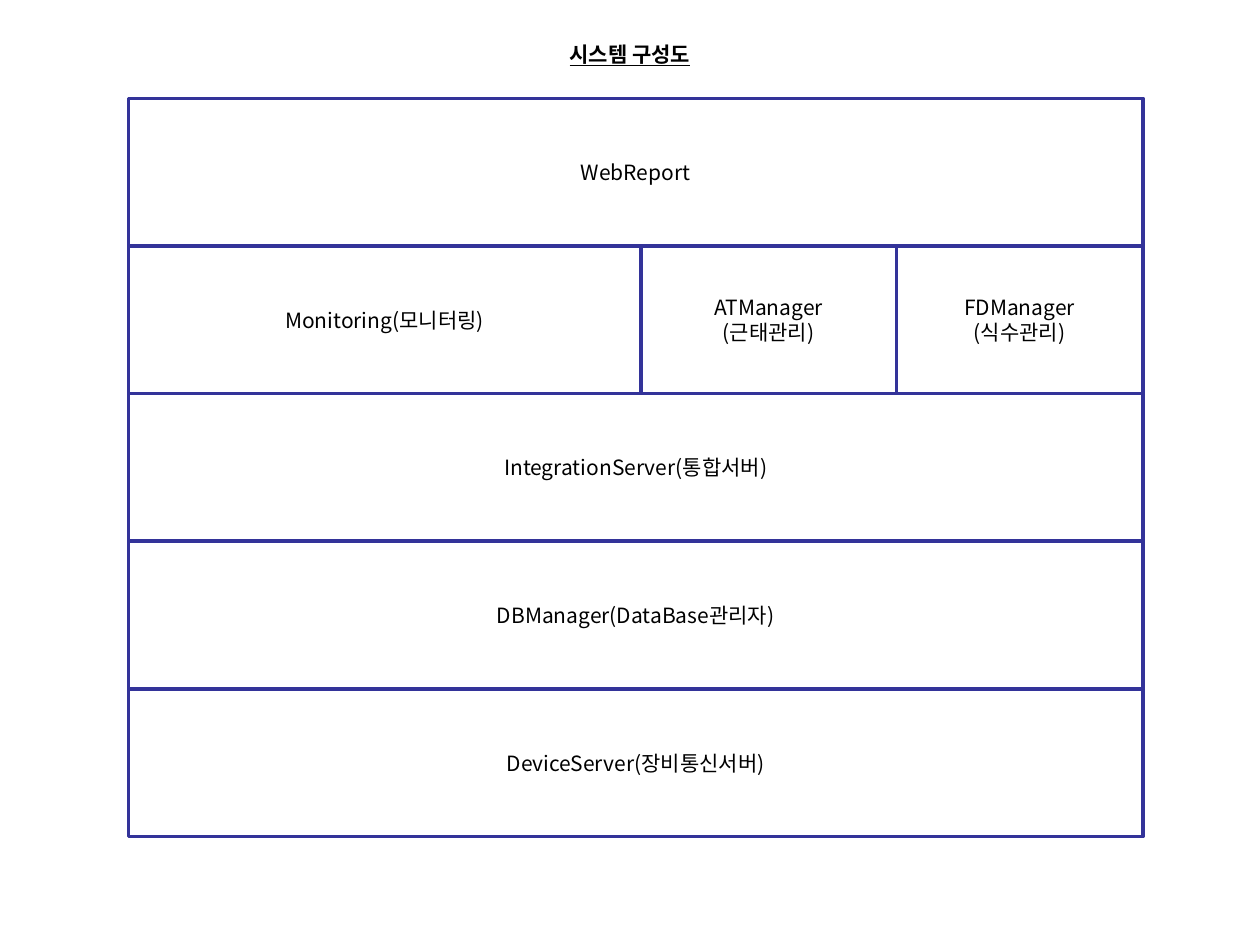
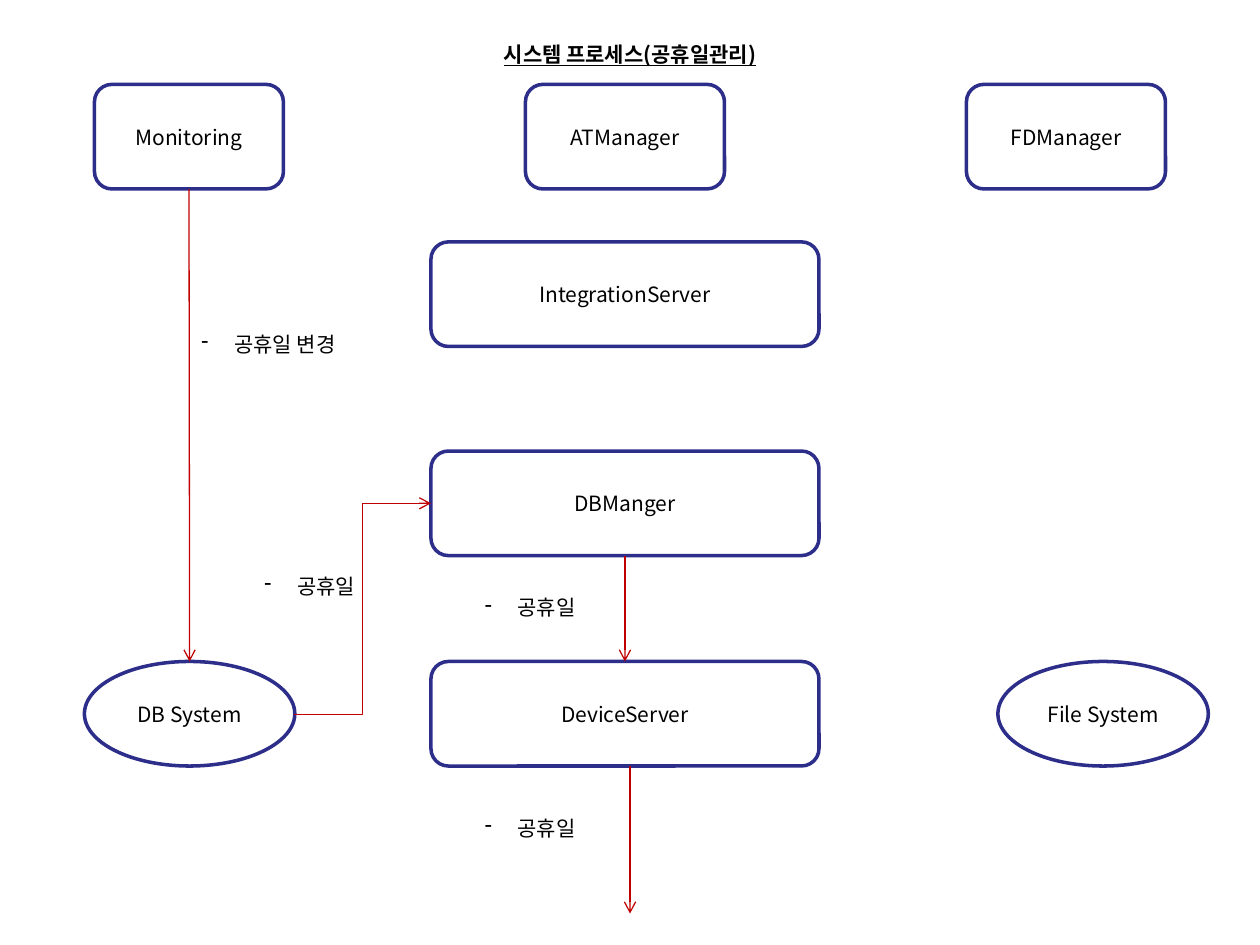
from dataclasses import dataclass

import pptx
import pptx.dml.color
import pptx.enum.shapes
import pptx.enum.text
import pptx.oxml
import pptx.oxml.ns
import pptx.util
from pptx.util import Inches

SHAPE = pptx.enum.shapes.MSO_SHAPE
CONNECTOR = pptx.enum.shapes.MSO_CONNECTOR
ALIGN = pptx.enum.text.PP_ALIGN
ANCHOR = pptx.enum.text.MSO_ANCHOR
TOP, LEFT, BOTTOM = 0, 1, 2


@dataclass(frozen=True)
class Theme:
    font: str = "Noto Sans CJK KR"
    text_size: float = 12
    text: str = "000000"
    fill: str = "FFFFFF"
    stack_line: str = "333399"
    node_line: str = "2D2D8A"
    flow_line: str = "C00000"
    box_width: float = 2
    flow_width: float = 0.75
    dash_indent: float = 0.26


THEME = Theme()


def rgb(value):
    return pptx.dml.color.RGBColor.from_string(value)


def add_child(parent, tag, **attributes):
    child = pptx.oxml.parse_xml(f"<a:{tag} {pptx.oxml.ns.nsdecls('a')}/>")
    for name, value in attributes.items():
        child.set(name, value)
    parent.append(child)
    return child


def add_run(p, text, heading=False):
    r = p.add_run()
    r.text = text
    r.font.size = pptx.util.Pt(THEME.text_size)
    r.font.name = THEME.font
    r.font.color.rgb = rgb(THEME.text)
    if heading:
        r.font.bold = r.font.underline = True
    add_child(r.font._element, "ea", typeface=THEME.font)


def add_textbox(slide, left, top, width, height=0.3):
    """Add an empty wrapping text box and return its first paragraph."""
    sp = slide.shapes.add_textbox(Inches(left), Inches(top), Inches(width), Inches(height))
    sp.text_frame.word_wrap = True
    return sp.text_frame.paragraphs[0]


def add_title(slide, text):
    p = add_textbox(slide, 0, 0.28, 10)
    p.alignment = ALIGN.CENTER
    add_run(p, text, heading=True)


def add_dash_label(slide, text, left, top, width=1.17):
    p = add_textbox(slide, left, top, width)
    indent = Inches(THEME.dash_indent)
    pPr = p._p.get_or_add_pPr()
    pPr.set("marL", str(indent))
    pPr.set("indent", str(-indent))
    add_child(pPr, "buChar", char="-")
    add_run(p, text)


def add_box(slide, kind, lines, left, top, width, height, line):
    """Add an outlined shape with one centred paragraph per line of text."""
    sp = slide.shapes.add_shape(kind, Inches(left), Inches(top), Inches(width), Inches(height))
    sp.shadow.inherit = False
    sp.fill.solid()
    sp.fill.fore_color.rgb = rgb(THEME.fill)
    sp.line.color.rgb = rgb(line)
    sp.line.width = pptx.util.Pt(THEME.box_width)
    tf = sp.text_frame
    tf.word_wrap = True
    tf.vertical_anchor = ANCHOR.MIDDLE
    for i, text in enumerate(lines):
        p = tf.add_paragraph() if i else tf.paragraphs[0]
        p.alignment = ALIGN.CENTER
        add_run(p, text)
    return sp


def add_flow(slide, start, end, kind=CONNECTOR.STRAIGHT):
    """Add a red arrow between two (x, y) points."""
    cxn = slide.shapes.add_connector(kind, *map(Inches, start + end))
    cxn.line.color.rgb = rgb(THEME.flow_line)
    cxn.line.width = pptx.util.Pt(THEME.flow_width)
    add_child(cxn.line._get_or_add_ln(), "tailEnd", type="arrow")
    add_child(cxn._element.spPr, "effectLst")
    return cxn


def add_layer_stack(slide, left, top, width, height):
    """Stack equal-height layers; each layer is a list of (share of width, lines)."""
    layers = [
        [(1, ["WebReport"])],
        [
            (0.505, ["Monitoring(모니터링)"]),
            (0.252, ["ATManager", "(근태관리)"]),
            (0.243, ["FDManager", "(식수관리)"]),
        ],
        [(1, ["IntegrationServer(통합서버)"])],
        [(1, ["DBManager(DataBase관리자)"])],
        [(1, ["DeviceServer(장비통신서버)"])],
    ]
    layer_height = height / len(layers)
    for i, layer in enumerate(layers):
        x = left
        for share, lines in layer:
            add_box(slide, SHAPE.RECTANGLE, lines, x, top + i * layer_height,
                    share * width, layer_height, THEME.stack_line)
            x += share * width


def add_nodes(slide, left, top):
    """Place the process nodes and return them by name."""
    node_height = 0.83
    nodes = [
        ("Monitoring", SHAPE.ROUNDED_RECTANGLE, 0.08, 0, 1.5),
        ("ATManager", SHAPE.ROUNDED_RECTANGLE, 3.5, 0, 1.58),
        ("FDManager", SHAPE.ROUNDED_RECTANGLE, 7, 0, 1.58),
        ("IntegrationServer", SHAPE.ROUNDED_RECTANGLE, 2.75, 1.25, 3.08),
        ("DBManger", SHAPE.ROUNDED_RECTANGLE, 2.75, 2.91, 3.08),
        ("DeviceServer", SHAPE.ROUNDED_RECTANGLE, 2.75, 4.58, 3.08),
        ("DB System", SHAPE.OVAL, 0, 4.58, 1.67),
        ("File System", SHAPE.OVAL, 7.25, 4.58, 1.67),
    ]
    return {
        name: add_box(slide, kind, [name], left + x, top + y, width, node_height, THEME.node_line)
        for name, kind, x, y, width in nodes
    }


def add_holiday_flows(slide, nodes):
    for source, target in (("Monitoring", "DB System"), ("DBManger", "DeviceServer")):
        cxn = add_flow(slide, (0, 0), (0, 0))
        cxn.begin_connect(nodes[source], BOTTOM)
        cxn.end_connect(nodes[target], TOP)
    cxn = add_flow(slide, (2.33, 5.67), (3.42, 4), CONNECTOR.ELBOW)
    cxn.end_connect(nodes["DBManger"], LEFT)
    add_flow(slide, (5, 6.08), (5, 7.25))

    add_dash_label(slide, "공휴일 변경", 1.5, 2.58, 1.75)
    for left, top in ((2, 4.5), (3.75, 4.67), (3.75, 6.42)):
        add_dash_label(slide, "공휴일", left, top)


def build_structure_slide(slide):
    add_title(slide, "시스템 구성도")
    add_layer_stack(slide, 1.02, 0.78, 8.05, 5.86)


def build_process_slide(slide):
    add_title(slide, "시스템 프로세스(공휴일관리)")
    nodes = add_nodes(slide, 0.67, 0.67)
    add_holiday_flows(slide, nodes)


def main():
    prs = pptx.Presentation()
    prs.slide_width, prs.slide_height = Inches(10), Inches(7.5)
    blank = prs.slide_layouts[6]
    for build in (build_structure_slide, build_process_slide):
        build(prs.slides.add_slide(blank))
    prs.save("out.pptx")


if __name__ == "__main__":
    main()
